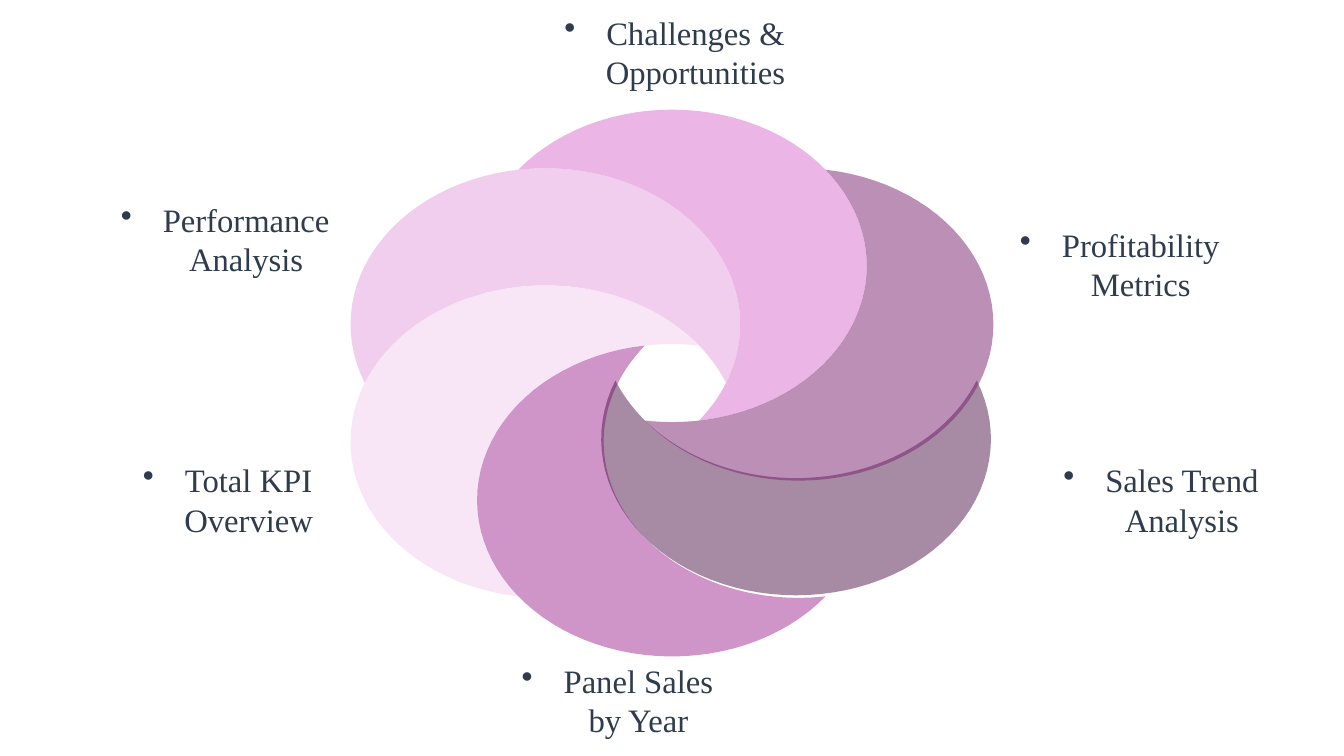
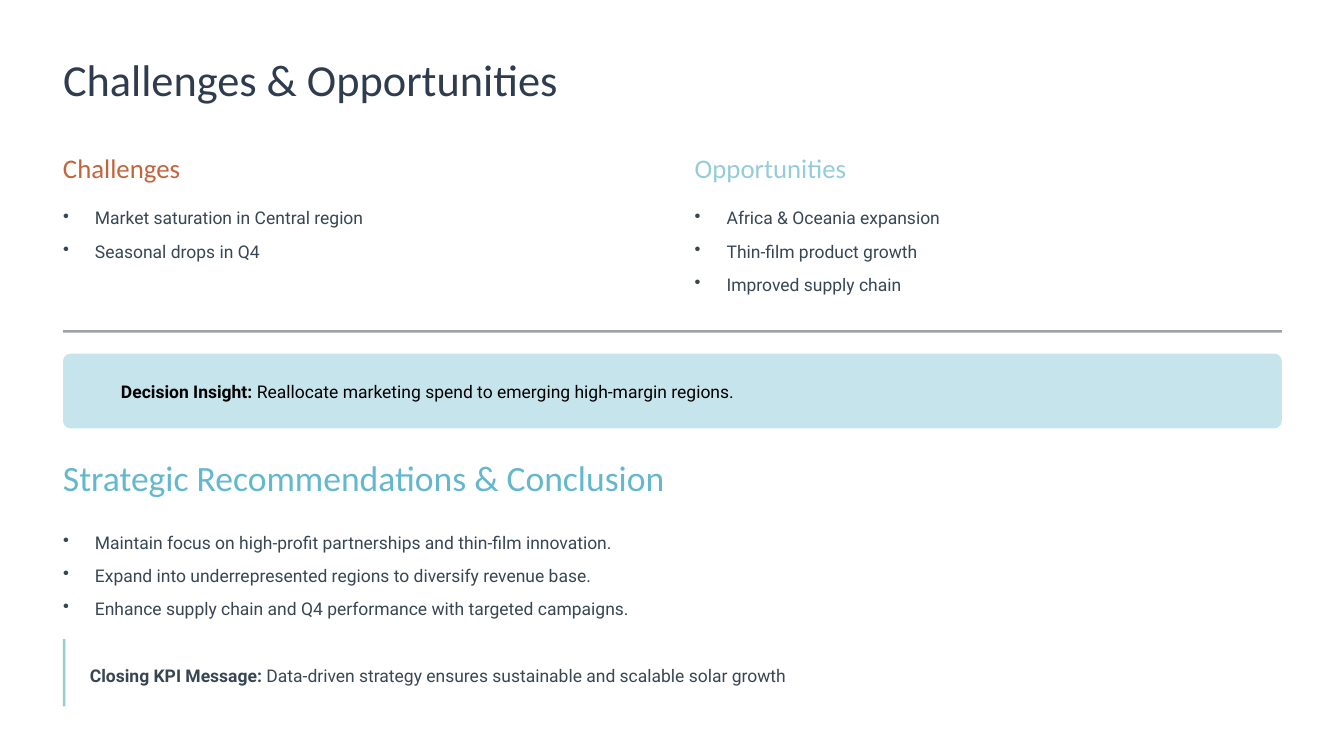
from math import acos, cos, hypot, atan2, pi, radians, sin

from lxml import etree
from pptx import Presentation
from pptx.dml.color import RGBColor
from pptx.enum.shapes import MSO_SHAPE
from pptx.enum.text import MSO_AUTO_SIZE, PP_ALIGN
from pptx.oxml.ns import qn
from pptx.util import Inches, Pt

RECT, ROUND = MSO_SHAPE.RECTANGLE, MSO_SHAPE.ROUNDED_RECTANGLE
GROW = MSO_AUTO_SIZE.SHAPE_TO_FIT_TEXT
CENTER = PP_ALIGN.CENTER

# Shared colours and text formats
INK, BODY, RUST, SKY, TEAL, ICE = (
    "2E3C4E", "384653", "C3643D", "95CCDA", "64B8CE", "C6E4EB")
LABEL = {"name": "Times New Roman", "size": Pt(28), "color": INK}
TITLE = {"name": "Calibri", "size": Pt(38), "color": INK}
SECTION = {"name": "Calibri", "size": Pt(30.5), "color": TEAL}
HEADING = {"name": "Calibri", "size": Pt(23)}
TEXT = {"name": "Roboto", "size": Pt(15), "color": BODY}

# Page grid
LEFT, RIGHT_COL, WIDTH, COL_WIDTH = 0.75, 8.27, 14.51, 6.99
LINE_STEP = 0.395

# Petal ring: centre, petal radii, distance of petal centres in radii
RING_X, RING_Y, RX, RY, SPREAD = 8, 4.56, 2.32, 1.86, 0.75
ARC_STEPS = 60

# Petals counterclockwise from the top: colour, nudge, label, label position
PETALS = [
    ("D86ECC", 0, "Challenges & Opportunities", 6.56, 0.1),
    ("E59EDD", 0, "Performance Analysis", 1.21, 2.33),
    ("F2CFEE", 0, "Total KPI Overview", 1.24, 5.43),
    ("A02B93", 0, "Panel Sales by Year", 5.88, 7.82),
    ("501649", -0.03, "Sales Trend Analysis", 12.35, 5.43),
    ("78206E", 0, "Profitability Metrics", 11.86, 2.63),
]


def rgb(color):
    return RGBColor.from_string(color)


def paint(sp, color, alpha=None):
    """Flat fill without outline or shadow; alpha in percent."""
    sp.shadow.inherit = False
    sp.line.fill.background()
    sp.fill.solid()
    sp.fill.fore_color.rgb = rgb(color)
    if alpha is not None:
        clr = sp._element.spPr.find(qn("a:solidFill"))[0]
        etree.SubElement(clr, qn("a:alpha"), val=str(alpha * 1000))


def add_block(s, kind, x, y, w, h, color, alpha=None):
    sp = s.shapes.add_shape(kind, Inches(x), Inches(y), Inches(w), Inches(h))
    paint(sp, color, alpha)
    return sp


def set_bullet(p, indent):
    pPr = p._p.get_or_add_pPr()
    pPr.set("marL", str(Inches(indent)))
    pPr.set("indent", str(-Inches(indent)))
    etree.SubElement(pPr, qn("a:buChar"), char="•")


def add_run(p, text, fmt):
    r = p.add_run()
    r.text = text
    for key, value in fmt.items():
        if key == "color":
            r.font.color.rgb = rgb(value)
        else:
            setattr(r.font, key, value)


def add_label(s, x, y, text):
    tb = s.shapes.add_textbox(Inches(x), Inches(y), Inches(2.94), Inches(1.04))
    tf = tb.text_frame
    tf.word_wrap = True
    tf.auto_size = GROW
    p = tf.paragraphs[0]
    p.alignment = CENTER
    set_bullet(p, 0.5)
    add_run(p, text, LABEL)


def add_line(s, x, y, w, h, spacing, runs, bullet=False):
    """One line of text in a box without margins."""
    tb = s.shapes.add_textbox(Inches(x), Inches(y), Inches(w), Inches(h))
    tf = tb.text_frame
    tf.word_wrap = False
    for side in ("left", "top", "right", "bottom"):
        setattr(tf, f"margin_{side}", 0)
    p = tf.paragraphs[0]
    p.line_spacing = Pt(spacing)
    if bullet:
        set_bullet(p, 0.38)
    for text, fmt in runs:
        add_run(p, text, fmt)


def add_bullets(s, x, y, w, items):
    for i, item in enumerate(items):
        add_line(s, x, y + i * LINE_STEP, w, 0.32, 23, [(item, TEXT)], True)


def add_message(s, x, y, w, lead, rest, color):
    fmt = {**TEXT, "color": color}
    add_line(s, x, y, w, 0.32, 23,
             [(lead, {**fmt, "bold": True}), (rest, {**fmt, "bold": False})])


def petal_centre(i):
    """Centre of ellipse i, in units of the petal radii."""
    a = radians(90 + 60 * i)
    return SPREAD * cos(a), -SPREAD * sin(a)


def arc(centre, start, end):
    for k in range(ARC_STEPS + 1):
        a = start + (end - start) * k / ARC_STEPS
        yield centre[0] + cos(a), centre[1] + sin(a)


def add_petal(s, i, color, nudge):
    """Ellipse i minus the next ellipse of the ring."""
    own, following = petal_centre(i), petal_centre(i + 1)
    dx, dy = following[0] - own[0], following[1] - own[1]
    facing, half = atan2(dy, dx), acos(hypot(dx, dy) / 2)
    outline = [*arc(own, facing + half, facing + 2 * pi - half),
               *arc(following, facing + pi + half, facing + pi - half)]
    pts = [(Inches(RING_X + nudge + RX * u), Inches(RING_Y + nudge + RY * v))
           for u, v in outline]
    fb = s.shapes.build_freeform(*pts[0], scale=1.0)
    fb.add_line_segments(pts[1:], close=True)
    paint(fb.convert_to_shape(), color, 50)


def build_agenda(s):
    for i, (color, nudge, *_) in enumerate(PETALS):
        add_petal(s, i, color, nudge)
    for _, _, text, x, y in PETALS:
        add_label(s, x, y, text)


def build_conclusion(s):
    add_line(s, LEFT, 0.59, 6.68, 0.67, 48,
             [("Challenges & Opportunities", TITLE)])

    # Two columns
    columns = [
        (LEFT, "Challenges", RUST,
         ["Market saturation in Central region", "Seasonal drops in Q4"]),
        (RIGHT_COL, "Opportunities", SKY,
         ["Africa & Oceania expansion", "Thin-film product growth",
          "Improved supply chain"]),
    ]
    for x, heading, color, items in columns:
        add_line(s, x, 1.79, 3.2, 0.4, 28.5,
                 [(heading, {**HEADING, "color": color})])
        add_bullets(s, x, 2.4, COL_WIDTH, items)

    # Divider and insight band
    add_block(s, RECT, LEFT, 3.93, WIDTH, 0.03, BODY, 50)
    band = add_block(s, ROUND, LEFT, 4.21, WIDTH, 0.89, ICE)
    band.adjustments[0] = 0.1
    add_message(s, 1.44, 4.47, 13.6, "Decision Insight:",
                " Reallocate marketing spend to emerging high-margin regions.",
                "000000")

    # Recommendations
    add_line(s, LEFT, 5.41, 8.23, 0.53, 38,
             [("Strategic Recommendations & Conclusion", SECTION)])
    add_bullets(s, LEFT, 6.26, WIDTH, [
        "Maintain focus on high-profit partnerships and thin-film innovation.",
        "Expand into underrepresented regions to diversify revenue base.",
        "Enhance supply chain and Q4 performance with targeted campaigns."])

    # Closing message with side bar
    add_message(s, 1.07, 7.85, 14.19, "Closing KPI Message:",
                " Data-driven strategy ensures sustainable and scalable"
                " solar growth", BODY)
    add_block(s, RECT, LEFT, 7.61, 0.03, 0.8, SKY)


def main():
    prs = Presentation()
    prs.slide_width, prs.slide_height = Inches(16), Inches(9)
    for build in (build_agenda, build_conclusion):
        build(prs.slides.add_slide(prs.slide_layouts[6]))
    prs.save("out.pptx")


if __name__ == "__main__":
    main()
